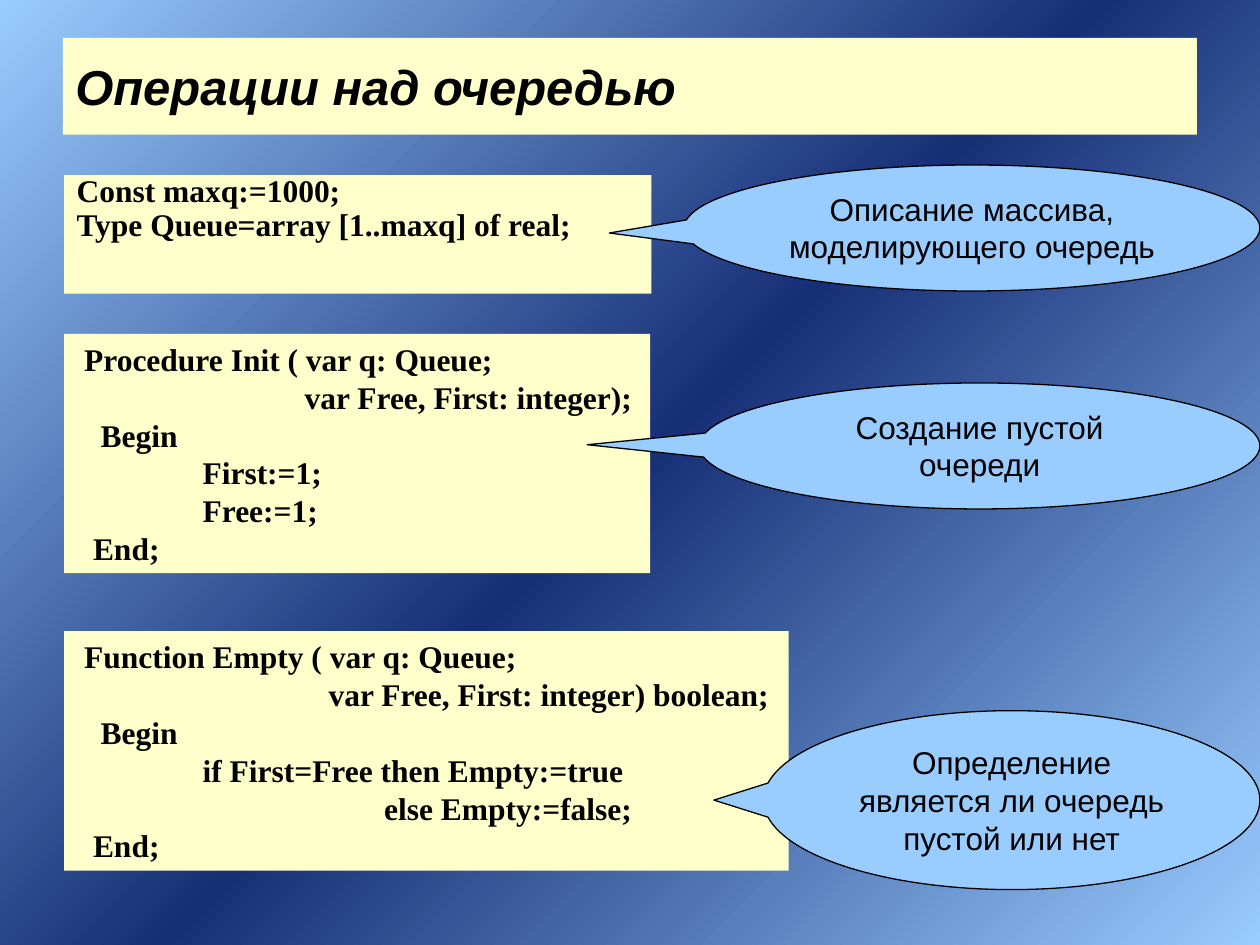
from copy import deepcopy
from dataclasses import dataclass

from pptx import Presentation
from pptx.dml.color import RGBColor
from pptx.enum.shapes import MSO_SHAPE as Preset
from pptx.enum.text import MSO_ANCHOR as Anchor, PP_ALIGN as Align
from pptx.oxml.ns import qn
from pptx.util import Inches, Pt

COLORS = {"paper": "FFFFCC", "bubble": "99CCFF", "ink": "000000",
          "sky": "99CCFF", "night": "172F76"}

TITLE_FONT = {"name": "Arial", "size": Pt(28), "bold": True, "italic": True}
CODE_FONT = {"name": "Times New Roman", "size": Pt(18), "bold": True}
NOTE_FONT = {"name": "Arial", "size": Pt(18), "bold": False}

NO_FORMAT = {}
DECLARATION_FORMAT = {"line_spacing": 0.7, "space_before": Pt(4.5)}
NOTE_FORMAT = {"alignment": Align.CENTER, "space_before": Pt(11.2)}


@dataclass
class Line:
    text: str
    indent: float = 0


@dataclass
class Panel:
    left: float
    top: float
    width: float
    height: float
    lines: list[Line]
    font: dict
    paragraph_format: dict
    anchor: Anchor = Anchor.TOP


@dataclass
class Callout:
    left: float
    top: float
    width: float
    height: float
    tip: tuple[float, float]
    text: str


HEADING = Panel(0.5, 0.3, 9, 0.77, [Line("Операции над очередью")],
                TITLE_FONT, NO_FORMAT, Anchor.MIDDLE)
DECLARATIONS = Panel(0.51, 1.39, 4.66, 0.94, [
    Line("Const maxq:=1000;"),
    Line("Type Queue=array [1..maxq] of real;"),
], CODE_FONT, DECLARATION_FORMAT)
INIT_PROCEDURE = Panel(0.51, 2.65, 4.65, 1.9, [
    Line("Procedure Init ( var q: Queue;", 0.06),
    Line("var Free, First: integer);", 1.81),
    Line("Begin", 0.19),
    Line("First:=1;", 1),
    Line("Free:=1;", 1),
    Line("End;", 0.13),
], CODE_FONT, NO_FORMAT)
EMPTY_FUNCTION = Panel(0.51, 5.01, 5.75, 1.9, [
    Line("Function Empty ( var q: Queue;", 0.06),
    Line("var Free, First: integer) boolean;", 2),
    Line("Begin", 0.19),
    Line("if First=Free then Empty:=true", 1),
    Line("else Empty:=false;", 2.44),
    Line("End;", 0.13),
], CODE_FONT, NO_FORMAT)

ARRAY_NOTE = Callout(5.43, 1.31, 4.57, 1, (-0.63, 0.04),
                     "Описание массива, моделирующего очередь")
INIT_NOTE = Callout(5.55, 3.04, 4.45, 1, (-0.7, -0.01),
                    "Создание пустой очереди")
EMPTY_NOTE = Callout(6.06, 5.64, 3.94, 1.42, (-0.6, 0),
                     "Определение является ли очередь пустой или нет")


def rgb(color: str) -> RGBColor:
    return RGBColor.from_string(COLORS[color])


def apply(target, values: dict) -> None:
    for attribute, value in values.items():
        setattr(target, attribute, value)


def paint_background(slide, stops: list[tuple[float, str]]) -> None:
    fill = slide.background.fill
    fill.gradient()
    fill.gradient_angle = 135
    stop_list = slide.element.find(".//" + qn("a:gsLst"))
    while len(stop_list) < len(stops):
        stop_list.append(deepcopy(stop_list[0]))
    for stop, (position, color) in zip(fill.gradient_stops, stops):
        stop.color.rgb = rgb(color)
        stop.position = position


def add_block(slide, preset: Preset, area: Panel | Callout, color: str):
    block = slide.shapes.add_shape(preset, Inches(area.left), Inches(area.top),
                                   Inches(area.width), Inches(area.height))
    block.shadow.inherit = False
    block.fill.solid()
    block.fill.fore_color.rgb = rgb(color)
    return block


def write(block, lines: list[Line], font: dict, paragraph_format: dict,
          anchor: Anchor) -> None:
    frame = block.text_frame
    apply(frame, {"word_wrap": True, "vertical_anchor": anchor,
                  "margin_left": Inches(0.1), "margin_right": Inches(0.1),
                  "margin_top": Inches(0.05), "margin_bottom": Inches(0.05)})
    for number, line in enumerate(lines):
        paragraph = frame.add_paragraph() if number else frame.paragraphs[0]
        apply(paragraph, {"alignment": Align.LEFT, **paragraph_format})
        if line.indent:
            paragraph._p.get_or_add_pPr().set("marL", str(Inches(line.indent)))
        run = paragraph.add_run()
        run.text = line.text
        apply(run.font, font)
        run.font.color.rgb = rgb("ink")


def add_panel(slide, panel: Panel) -> None:
    block = add_block(slide, Preset.RECTANGLE, panel, "paper")
    block.line.fill.background()
    write(block, panel.lines, panel.font, panel.paragraph_format, panel.anchor)


def add_callout(slide, callout: Callout) -> None:
    bubble = add_block(slide, Preset.OVAL_CALLOUT, callout, "bubble")
    bubble.line.color.rgb = rgb("ink")
    bubble.line.width = Pt(0.75)
    for index, offset in enumerate(callout.tip):
        bubble.adjustments[index] = offset
    write(bubble, [Line(callout.text)], NOTE_FONT, NOTE_FORMAT, Anchor.TOP)


def main() -> None:
    deck = Presentation()
    deck.slide_width, deck.slide_height = Inches(10), Inches(7.5)
    slide = deck.slides.add_slide(deck.slide_layouts[6])
    paint_background(slide, [(0, "sky"), (0.5, "night"), (1, "sky")])

    # Heading and code panels, with the callouts over them
    for panel in (HEADING, DECLARATIONS, INIT_PROCEDURE):
        add_panel(slide, panel)
    for callout in (ARRAY_NOTE, INIT_NOTE):
        add_callout(slide, callout)
    add_panel(slide, EMPTY_FUNCTION)
    add_callout(slide, EMPTY_NOTE)

    deck.save("out.pptx")


if __name__ == "__main__":
    main()
